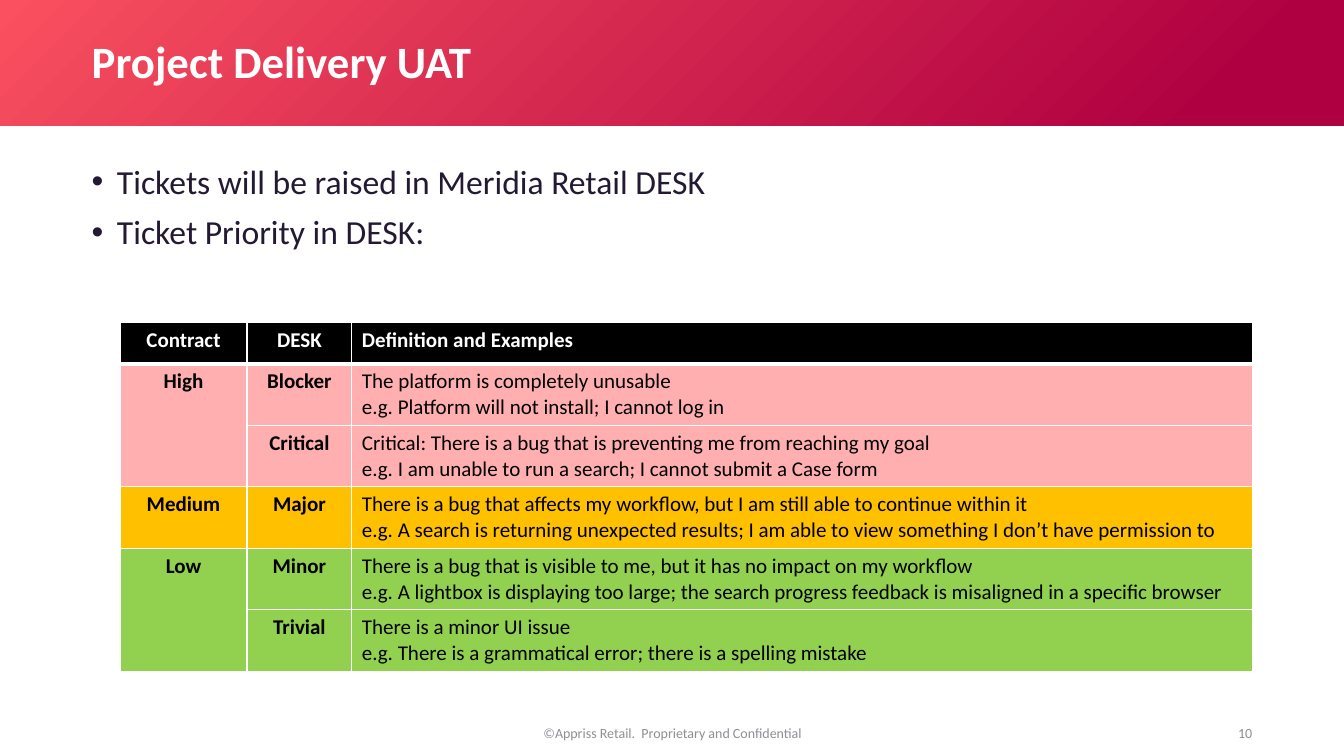
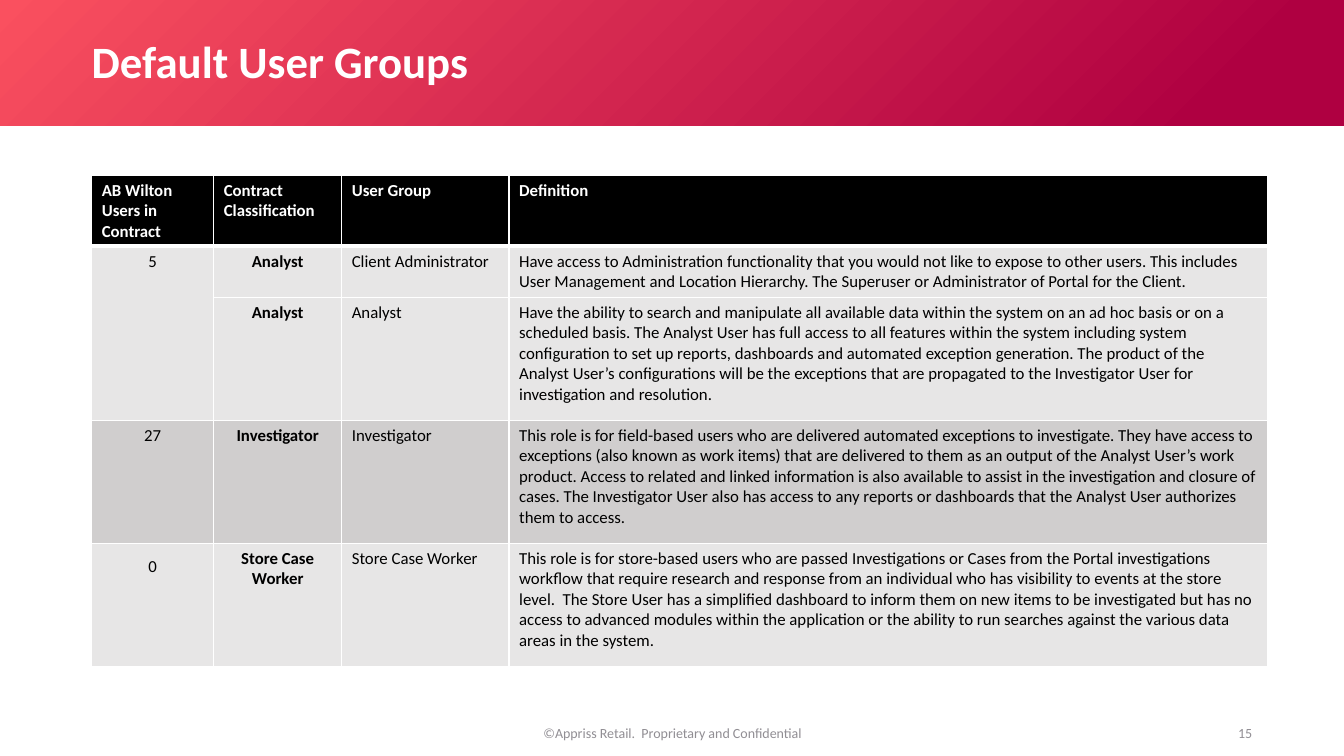
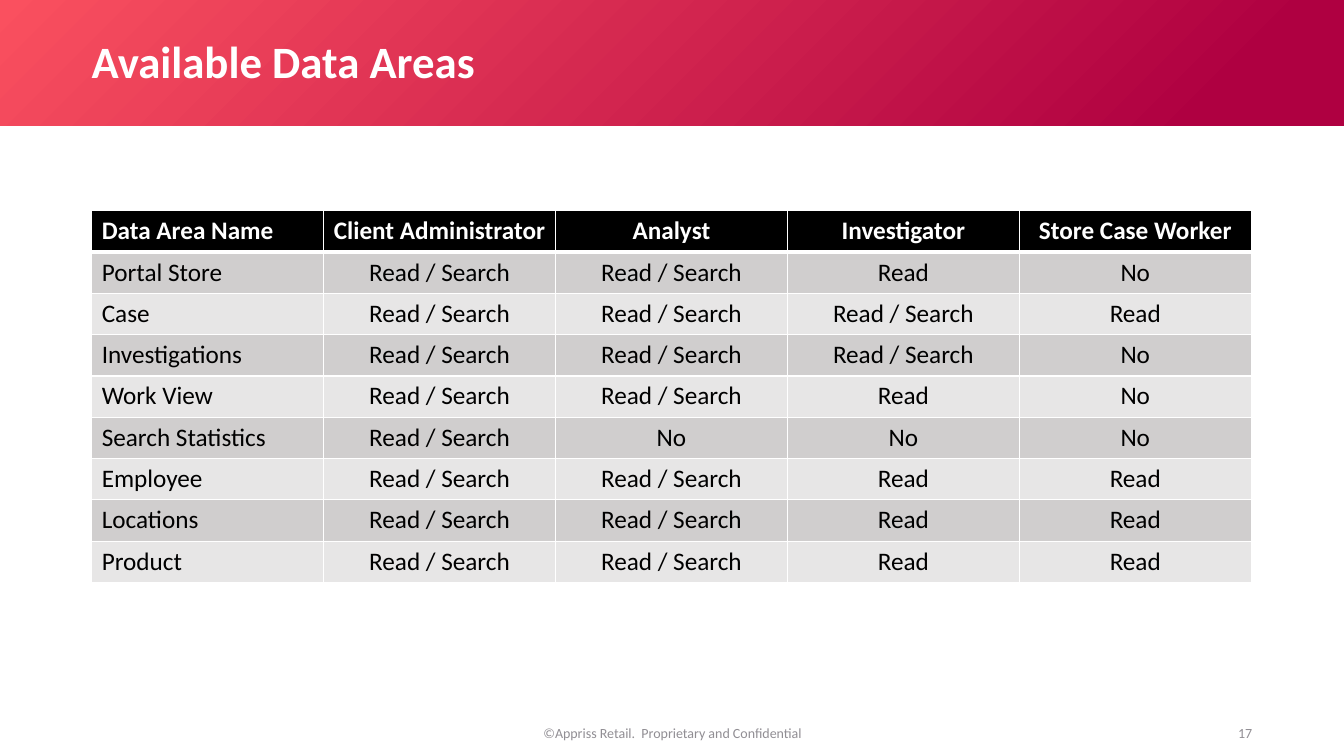
import lxml.etree
import pptx
import pptx.dml.color
import pptx.enum.shapes
import pptx.enum.text
import pptx.oxml.ns
import pptx.util

Inches = pptx.util.Inches
Pt = pptx.util.Pt
Align = pptx.enum.text.PP_ALIGN
Anchor = pptx.enum.text.MSO_ANCHOR
qn = pptx.oxml.ns.qn

FONT = "Calibri"
EDGE = 0.91
COLORS = {
    "white": "FFFFFF",
    "black": "000000",
    "deep": "AF0041",
    "coral": "FA505F",
    "ink": "231932",
    "foot": "241E29",
    "pink": "FFAFAF",
    "amber": "FFC000",
    "green": "92D050",
    "light": "E7E6E6",
    "gray": "D0CECE",
}

TICKETS = [
    ["Contract", "DESK", "Definition and Examples"],
    ["High", "Blocker",
     "The platform is completely unusable\n"
     "e.g. Platform will not install; I cannot log in"],
    ["", "Critical",
     "Critical: There is a bug that is preventing me from reaching my goal\n"
     "e.g. I am unable to run a search; I cannot submit a Case form"],
    ["Medium", "Major",
     "There is a bug that affects my workflow, but I am still able to continue within it\n"
     "e.g. A search is returning unexpected results; "
     "I am able to view something I don’t have permission to"],
    ["Low", "Minor",
     "There is a bug that is visible to me, but it has no impact on my workflow\n"
     "e.g. A lightbox is displaying too large; "
     "the search progress feedback is misaligned in a specific browser"],
    ["", "Trivial",
     "There is a minor UI issue\n"
     "e.g. There is a grammatical error; there is a spelling mistake"],
]

GROUPS = [
    ["AB Wilton Users in Contract", "Contract Classification", "User Group", "Definition"],
    ["5", "Analyst", "Client Administrator",
     "Have access to Administration functionality that you would not like to expose to "
     "other users. This includes User Management and Location Hierarchy. The Superuser or "
     "Administrator of Portal for the Client."],
    ["", "Analyst", "Analyst",
     "Have the ability to search and manipulate all available data within the system on an "
     "ad hoc basis or on a scheduled basis. The Analyst User has full access to all features "
     "within the system including system configuration to set up reports, dashboards and "
     "automated exception generation. The product of the Analyst User’s configurations will "
     "be the exceptions that are propagated to the Investigator User for investigation and "
     "resolution."],
    ["27", "Investigator", "Investigator",
     "This role is for field-based users who are delivered automated exceptions to "
     "investigate. They have access to exceptions (also known as work items) that are "
     "delivered to them as an output of the Analyst User’s work product. Access to related "
     "and linked information is also available to assist in the investigation and closure of "
     "cases. The Investigator User also has access to any reports or dashboards that the "
     "Analyst User authorizes them to access."],
    ["0", "Store Case Worker", "Store Case Worker",
     "This role is for store-based users who are passed Investigations or Cases from the "
     "Portal investigations workflow that require research and response from an individual "
     "who has visibility to events at the store level.  The Store User has a simplified "
     "dashboard to inform them on new items to be investigated but has no access to advanced "
     "modules within the application or the ability to run searches against the various data "
     "areas in the system."],
]

BOTH = "Read / Search"
AREAS = [
    ["Data Area Name", "Client Administrator", "Analyst", "Investigator", "Store Case Worker"],
    ["Portal Store", BOTH, BOTH, "Read", "No"],
    ["Case", BOTH, BOTH, BOTH, "Read"],
    ["Investigations", BOTH, BOTH, BOTH, "No"],
    ["Work View", BOTH, BOTH, "Read", "No"],
    ["Search Statistics", BOTH, "No", "No", "No"],
    ["Employee", BOTH, BOTH, "Read", "Read"],
    ["Locations", BOTH, BOTH, "Read", "Read"],
    ["Product", BOTH, BOTH, "Read", "Read"],
]


def paint(name):
    return pptx.dml.color.RGBColor.from_string(COLORS[name])


def style(para, size, color, bold=False, align=Align.LEFT):
    para.alignment = align
    font = para.font
    font.name, font.size, font.bold = FONT, Pt(size), bold
    font.color.rgb = paint(color)


def add_text(slide, box, text, anchor=Anchor.MIDDLE):
    frame = slide.shapes.add_textbox(*map(Inches, box)).text_frame
    frame.word_wrap = True
    frame.vertical_anchor = anchor
    frame.margin_left = frame.margin_right = 0
    frame.margin_top = frame.margin_bottom = 0
    frame.text = text
    return frame.paragraphs


def add_band(slide):
    band = slide.shapes.add_shape(
        pptx.enum.shapes.MSO_SHAPE.RECTANGLE, 0, 0, Inches(13.33), Inches(1.25))
    band.shadow.inherit = False
    band.line.fill.background()
    band.fill.gradient()
    band.fill.gradient_angle = 135
    for stop, color, place in zip(band.fill.gradient_stops, ("deep", "coral"), (0.1, 1)):
        stop.color.rgb = paint(color)
        stop.position = place


def add_foot(slide, box, text, align):
    para = add_text(slide, box, text)[0]
    style(para, 10, "foot", align=align)
    tint = next(para._p.iter(qn("a:srgbClr")))
    lxml.etree.SubElement(tint, qn("a:alpha"), val="50000")


def add_slide(deck, title, number):
    slide = deck.slides.add_slide(deck.slide_layouts[6])
    add_band(slide)
    head = add_text(slide, (EDGE, 0.39, 8.74, 0.48), title)[0]
    head.line_spacing = 0.9
    style(head, 32, "white", True)
    add_foot(slide, (9.42, 7.07, 3, 0.4), str(number), Align.RIGHT)
    add_foot(slide, (4.42, 7.07, 4.5, 0.4),
             "©Appriss Retail.  Proprietary and Confidential", Align.CENTER)
    return slide


def add_list(slide, box, items):
    for i, para in enumerate(add_text(slide, box, "\n".join(items), Anchor.TOP)):
        props = para._p.get_or_add_pPr()
        props.set("marL", str(Inches(0.25)))
        props.set("indent", str(-Inches(0.25)))
        para.line_spacing = 0.9
        if i:
            para.space_before = Pt(10)
        lxml.etree.SubElement(props, qn("a:buFont"), typeface="Arial")
        lxml.etree.SubElement(props, qn("a:buChar"), char="•")
        style(para, 24, "ink")


def add_rules(cell, row):
    widths = {"L": 1, "R": 1, "T": 3 if row == 1 else 1, "B": 3 if row == 0 else 1}
    props = cell._tc.get_or_add_tcPr()
    for side, width in widths.items():
        line = lxml.etree.SubElement(props, qn("a:ln" + side), w=str(Pt(width)))
        fill = lxml.etree.SubElement(line, qn("a:solidFill"))
        lxml.etree.SubElement(fill, qn("a:srgbClr"), val=COLORS["white"])


def add_grid(slide, left, top, cols, highs, rows, fills, size,
             mid, bold=(), head_mid=(), spans=()):
    grid = slide.shapes.add_table(
        len(rows), len(cols), Inches(left), Inches(top),
        Inches(sum(cols)), Inches(sum(highs))).table
    grid.first_row = grid.horz_banding = False
    for col, width in zip(grid.columns, cols):
        col.width = Inches(width)
    for row, high in zip(grid.rows, highs):
        row.height = Inches(high)
    for r, (texts, shade) in enumerate(zip(rows, ["black"] + fills)):
        head = r == 0
        for c, text in enumerate(texts):
            cell = grid.cell(r, c)
            add_rules(cell, r)
            cell.fill.solid()
            cell.fill.fore_color.rgb = paint(shade)
            cell.text_frame.text = text
            align = Align.CENTER if c in (head_mid if head else mid) else Align.LEFT
            for para in cell.text_frame.paragraphs:
                style(para, size, "white" if head else "black", head or c in bold, align)
    for r in spans:
        grid.cell(r, 0).merge(grid.cell(r + 1, 0))
    return grid


def main():
    deck = pptx.Presentation()
    deck.slide_width, deck.slide_height = Inches(13.33), Inches(7.5)

    slide = add_slide(deck, "Project Delivery UAT", 10)
    add_list(slide, (EDGE, 1.64, 11.51, 5.04),
             ["Tickets will be raised in Meridia Retail DESK", "Ticket Priority in DESK:"])
    add_grid(slide, 1.19, 3.2, [1.26, 1.04, 8.93], [0.41] + [0.61] * 5, TICKETS,
             ["pink", "pink", "amber", "green", "green"], 15,
             mid=(0, 1), bold=(0, 1), head_mid=(0, 1), spans=(1, 4))

    slide = add_slide(deck, "Default User Groups", 15)
    grid = add_grid(slide, EDGE, 1.74, [1.21, 1.27, 1.66, 7.52],
                    [0.7, 0.51] + [1.22] * 3, GROUPS,
                    ["light", "light", "gray", "light"], 12,
                    mid=(0, 1), bold=(1,), spans=(1,))
    grid.cell(4, 0).margin_top = Inches(0.13)

    slide = add_slide(deck, "Available Data Areas", 17)
    add_grid(slide, EDGE, 2.09, [2.3] * 5, [0.41] * 9, AREAS,
             ["gray", "light"] * 4, 18, mid=range(1, 5), head_mid=range(1, 5))

    deck.save("out.pptx")


if __name__ == "__main__":
    main()
